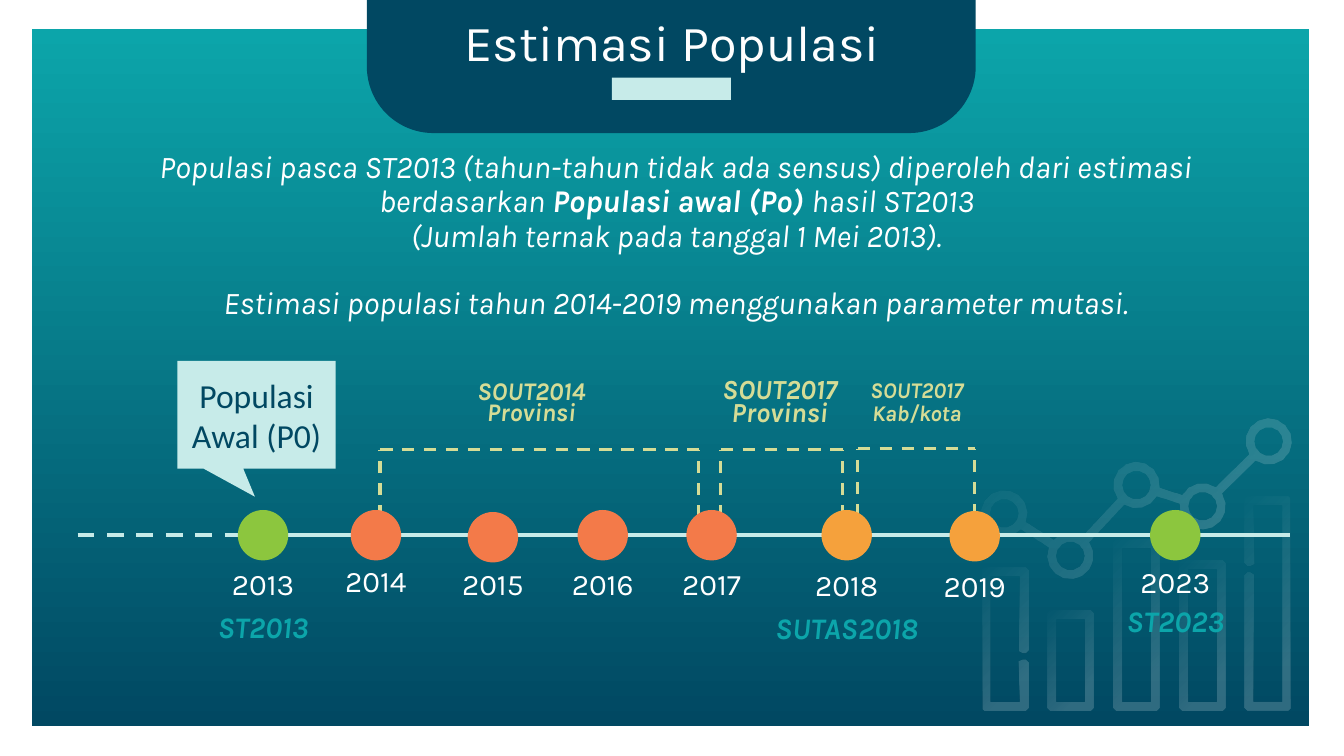
from dataclasses import dataclass
from math import asin, atan2, ceil, cos, pi, sin
from typing import Optional

from lxml import etree
from pptx import Presentation
from pptx.dml.color import RGBColor
from pptx.enum.dml import MSO_LINE
from pptx.enum.shapes import MSO_CONNECTOR, MSO_SHAPE
from pptx.enum.text import MSO_ANCHOR, PP_ALIGN
from pptx.oxml.ns import qn
from pptx.util import Inches, Pt

STRAIGHT = MSO_CONNECTOR.STRAIGHT
DASH = MSO_LINE.DASH
RECT, OVAL = MSO_SHAPE.RECTANGLE, MSO_SHAPE.OVAL
TAB, CALLOUT = MSO_SHAPE.ROUND_2_SAME_RECTANGLE, MSO_SHAPE.RECTANGULAR_CALLOUT
CENTER = PP_ALIGN.CENTER
TOP, MIDDLE = MSO_ANCHOR.TOP, MSO_ANCHOR.MIDDLE

TEAL, NAVY, MINT, WHITE = "0CA5AA", "014862", "C7EBE9", "FFFFFF"
GREEN, CORAL, AMBER, STRAW = "8CC63E", "F37A49", "F5A13C", "D5DC96"

DOT = 0.5
LABEL_WIDTH = 1.75
YEAR_SIZE, BODY_SIZE = 21.33, 22.67
BAR_LEFT, BAR_RIGHT, BAR_BASE, BAR_WIDTH = 9.74, 12.81, 7.05, 0.46
STROKE = 0.09
NODE_RADIUS = BAR_WIDTH / 2
STEPS_PER_TURN = 14

Point = tuple[float, float]
Contour = list[Point]


@dataclass
class Run:
    text: str
    size: float
    color: str = WHITE
    bold: bool = False
    italic: bool = False
    font: str = "Karla"


@dataclass
class Paragraph:
    runs: list[Run]
    spacing: float = 0.9
    before: float = 0


@dataclass
class Milestone:
    year: str
    center: float
    dot_top: float
    label_top: float
    color: str
    event: str = ""
    spacing: float = 0.9


@dataclass
class Survey:
    name: str
    scope: str
    size: float
    box: tuple[float, float, float, float]
    spacing: tuple[float, float]
    bracket: tuple[float, float, float]


@dataclass
class Bar:
    top: float
    gap: Optional[Point] = None
    gap_on_left: bool = False


MILESTONES = [
    Milestone("2013", 2.61, 5.06, 5.58, GREEN, "ST2013"),
    Milestone("2014", 3.73, 5.06, 5.55, CORAL),
    Milestone("2015", 4.89, 5.08, 5.58, CORAL),
    Milestone("2016", 5.98, 5.06, 5.58, CORAL),
    Milestone("2017", 7.06, 5.06, 5.58, CORAL),
    Milestone("2018", 8.4, 5.06, 5.59, AMBER, "SUTAS2018"),
    Milestone("2019", 9.67, 5.07, 5.6, AMBER),
    Milestone("2023", 11.66, 5.06, 5.59, GREEN, "ST2023", 0.8),
]
SURVEYS = [
    Survey("SOUT2014", "Provinsi", 18.1, (4.17, 3.73, 2.2, 0.59), (0.7, 0.7), (3.77, 6.93, 4.46)),
    Survey("SOUT2017", "Provinsi", 19.7, (6.86, 3.71, 1.75, 0.63), (0.7, 0.7), (7.15, 8.36, 4.46)),
    Survey("SOUT2017", "Kab/kota", 16, (8.22, 3.71, 1.75, 0.74), (0.8, 0.9), (8.51, 9.67, 4.45)),
]
BARS = [Bar(5.63, (6.48, 6.54)), Bar(6.06), Bar(5.35), Bar(5.56), Bar(4.93, (5.62, 5.68), True)]
TREND = [5.09, 5.51, 4.81, 5.02, 4.38]


def rgb(value: str) -> RGBColor:
    return RGBColor.from_string(value)


def write(frame, paragraphs: list[Paragraph], anchor=TOP) -> None:
    frame.word_wrap = True
    frame.vertical_anchor = anchor
    for index, item in enumerate(paragraphs):
        paragraph = frame.paragraphs[0] if index == 0 else frame.add_paragraph()
        paragraph.alignment = CENTER
        paragraph.line_spacing = item.spacing
        if item.before:
            paragraph.space_before = Pt(item.before)
        for part in item.runs:
            run = paragraph.add_run()
            run.text = part.text
            run.font.name, run.font.size = part.font, Pt(part.size)
            run.font.bold, run.font.italic = part.bold, part.italic
            run.font.color.rgb = rgb(part.color)


def add_text(slide, box, paragraphs: list[Paragraph], anchor=TOP) -> None:
    frame = slide.shapes.add_textbox(*map(Inches, box)).text_frame
    frame.margin_left = frame.margin_right = Inches(0.13)
    frame.margin_top = frame.margin_bottom = Inches(0.07)
    write(frame, paragraphs, anchor)


def add_block(slide, kind, box, color: str):
    block = slide.shapes.add_shape(kind, *map(Inches, box))
    block.shadow.inherit = False
    block.fill.solid()
    block.fill.fore_color.rgb = rgb(color)
    block.line.fill.background()
    return block


def add_line(slide, start: Point, end: Point, color: str, width: float, dashed: bool) -> None:
    line = slide.shapes.add_connector(STRAIGHT, *map(Inches, (*start, *end)))
    line.line.color.rgb = rgb(color)
    line.line.width = Pt(width)
    if dashed:
        line.line.dash_style = DASH
    etree.SubElement(line._element.spPr, qn("a:effectLst"))


def shade(shape, stops, angle: float) -> None:
    shape.fill.gradient()
    shape.fill.gradient_angle = angle
    for stop, (position, color, opacity) in zip(shape.fill.gradient_stops, stops):
        stop.position = position
        stop.color.rgb = rgb(color)
    colors = shape._element.spPr.iter(qn("a:srgbClr"))
    for element, (position, color, opacity) in zip(list(colors), stops):
        if opacity < 100:
            etree.SubElement(element, qn("a:alpha")).set("val", str(opacity * 1000))


def add_ghost(slide, contours: list[Contour]) -> None:
    paths = [[(Inches(x), Inches(y)) for x, y in contour] for contour in contours]
    builder = slide.shapes.build_freeform(*paths[0][0])
    for index, points in enumerate(paths):
        if index:
            builder.move_to(*points[0])
        builder.add_line_segments(points[1:], close=True)
    ghost = builder.convert_to_shape()
    ghost.shadow.inherit = False
    ghost.line.fill.background()
    shade(ghost, [(0, WHITE, 0), (0.8, WHITE, 18)], 315)


def arc(center: Point, radius: float, start: float, sweep: float) -> Contour:
    steps = ceil(abs(sweep) / (2 * pi) * STEPS_PER_TURN)
    angles = [start + sweep * step / steps for step in range(steps + 1)]
    return [(center[0] + radius * cos(a), center[1] + radius * sin(a)) for a in angles]


def softened(corners: Contour, cut: float) -> Contour:
    points = []
    for index, (x, y) in enumerate(corners):
        for nx, ny in (corners[index - 1], corners[(index + 1) % len(corners)]):
            reach = cut / (abs(nx - x) + abs(ny - y))
            points.append((x + (nx - x) * reach, y + (ny - y) * reach))
    return points


def bar_contours(bar: Bar, left: float) -> list[Contour]:
    right, cut = left + BAR_WIDTH, STROKE / 3
    inner_left, inner_right = left + STROKE, right - STROKE
    inner_top, inner_base = bar.top + STROKE, BAR_BASE - STROKE
    inner = [(inner_right, inner_top), (inner_left, inner_top),
             (inner_left, inner_base), (inner_right, inner_base)]
    head, foot = [(left, bar.top), (right, bar.top)], [(right, BAR_BASE), (left, BAR_BASE)]
    if bar.gap is None:
        return [softened(head + foot, cut), inner]
    upper, lower = bar.gap
    top_end = softened(head + [(right, upper), (inner_right, upper)], cut)
    base_end = softened([(inner_right, lower), (right, lower)] + foot, cut)
    outline = top_end + inner + base_end
    return [[(left + right - x, y) for x, y in outline] if bar.gap_on_left else outline]


def trend_contours(nodes: list[Point]) -> list[Contour]:
    walk = nodes + nodes[-2:0:-1]
    half = asin(STROKE / 2 / NODE_RADIUS)
    outline = []
    for index, (x, y) in enumerate(walk):
        (px, py), (nx, ny) = walk[index - 1], walk[(index + 1) % len(walk)]
        start = atan2(py - y, px - x) + half
        sweep = (atan2(ny - y, nx - x) - half - start) % (2 * pi)
        outline += arc((x, y), NODE_RADIUS, start, sweep)
    return [outline] + [arc(node, NODE_RADIUS - STROKE, 0, -2 * pi)[:-1] for node in nodes]


def add_backdrop(slide) -> None:
    panel = add_block(slide, RECT, (0.32, 0.29, 12.67, 6.91), TEAL)
    shade(panel, [(0, TEAL, 100), (1, NAVY, 100)], 270)
    pitch = (BAR_RIGHT - BAR_WIDTH - BAR_LEFT) / (len(BARS) - 1)
    lefts = [BAR_LEFT + pitch * index for index in range(len(BARS))]
    for bar, left in zip(BARS, lefts):
        add_ghost(slide, bar_contours(bar, left))
    add_ghost(slide, trend_contours([(left + NODE_RADIUS, y) for left, y in zip(lefts, TREND)]))
    tab = add_block(slide, TAB, (3.64, 0, 6.04, 1.32), NAVY)
    tab.adjustments[0], tab.adjustments[1] = 0, 0.5


def add_survey(slide, survey: Survey) -> None:
    left, right, top = survey.bracket
    foot = top + 0.67
    for start, end in (((left, foot), (left, top)), ((left, top), (right, top)), ((right, foot), (right, top))):
        add_line(slide, start, end, STRAW, 2.25, True)
    add_text(slide, survey.box, [Paragraph([Run(text, survey.size, STRAW, True, True)], spacing)
                                 for text, spacing in zip((survey.name, survey.scope), survey.spacing)])


def add_milestone(slide, stone: Milestone) -> None:
    add_block(slide, OVAL, (stone.center - DOT / 2, stone.dot_top, DOT, DOT), stone.color)
    lines = [Paragraph([Run(stone.year, YEAR_SIZE)], stone.spacing)]
    if stone.event:
        lines.append(Paragraph([Run(stone.event, YEAR_SIZE, TEAL, True, True)], stone.spacing, 7.5))
    box = (stone.center - LABEL_WIDTH / 2, stone.label_top, LABEL_WIDTH, 1.04 if stone.event else 0.53)
    add_text(slide, box, lines)


def main() -> None:
    deck = Presentation()
    deck.slide_width, deck.slide_height = Inches(40 / 3), Inches(7.5)
    slide = deck.slides.add_slide(deck.slide_layouts[6])
    add_backdrop(slide)
    add_text(slide, (0.92, 0.12, 11.5, 0.65), [Paragraph([Run("Estimasi Populasi", 36, "FEFEFE")])], MIDDLE)
    add_block(slide, RECT, (6.07, 0.77, 1.18, 0.22), MINT)
    for survey in SURVEYS:
        add_survey(slide, survey)
    add_line(slide, (2.61, 5.31), (12.8, 5.31), MINT, 3, False)
    add_line(slide, (0.77, 5.31), (2.86, 5.31), MINT, 3, True)
    for stone in MILESTONES:
        add_milestone(slide, stone)
    intro = "Populasi pasca ST2013 (tahun-tahun tidak ada sensus) diperoleh dari estimasi berdasarkan "
    add_text(slide, (1.4, 1.43, 10.63, 1.88), [
        Paragraph([Run(intro, BODY_SIZE, italic=True),
                   Run("Populasi awal (Po) ", BODY_SIZE, bold=True, italic=True),
                   Run("hasil ST2013", BODY_SIZE, italic=True)]),
        Paragraph([Run("(Jumlah ternak pada tanggal 1 Mei 2013).", BODY_SIZE, italic=True)]),
        Paragraph([Run("Estimasi populasi tahun 2014-2019 menggunakan parameter mutasi.", BODY_SIZE, italic=True)],
                  before=24)])
    callout = add_block(slide, CALLOUT, (1.76, 3.58, 1.57, 1.07), MINT)
    callout.adjustments[0], callout.adjustments[1] = -0.01, 0.76
    write(callout.text_frame, [Paragraph([Run("Populasi Awal (P0)", 24, NAVY, font="Calibri")], 1.0)], MIDDLE)
    deck.save("out.pptx")


if __name__ == "__main__":
    main()
